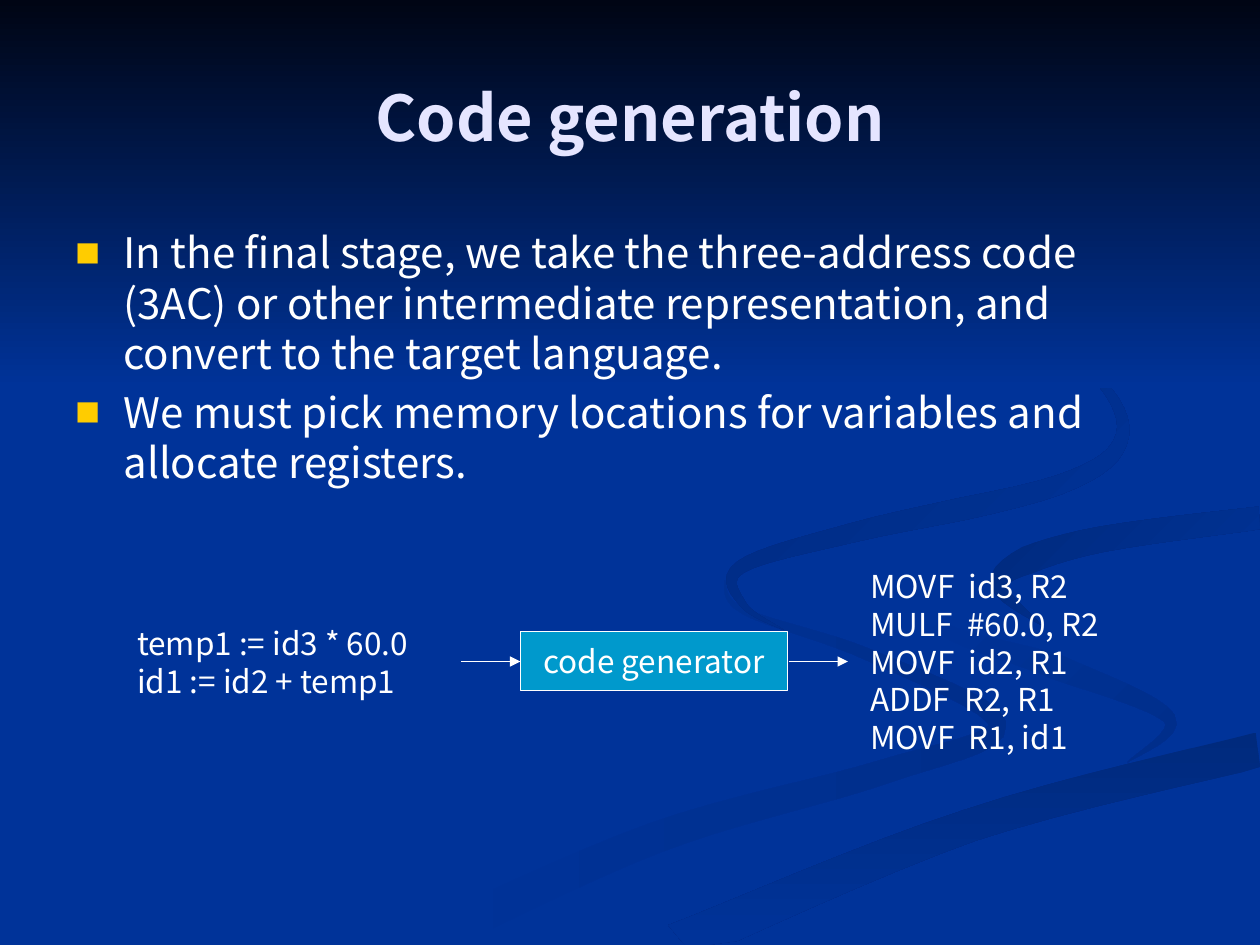
from dataclasses import dataclass
from math import hypot

from lxml.etree import SubElement
from pptx import Presentation
from pptx.dml.color import RGBColor
from pptx.enum.shapes import MSO_CONNECTOR, MSO_SHAPE
from pptx.enum.text import MSO_ANCHOR, MSO_AUTO_SIZE, PP_ALIGN
from pptx.oxml.ns import qn
from pptx.util import Inches, Pt

FONT = "Noto Sans CJK KR"
COLORS = {
    "background": "003399",
    "night": "000514",
    "swirl": "002E8B",
    "stroke": "002A7D",
    "title": "E5E5FF",
    "text": "FFFFFF",
    "bullet": "FFCC00",
    "box": "0099CC",
}
WIDTH, HEIGHT = 10, 7.5
AXIS_Y = 5.25  # centre line of the code flow
Point = tuple[float, float]


@dataclass(frozen=True)
class Ribbon:
    """A curved band along a spine; widths are at its start, middle and end."""
    start: str
    end: str
    angle: int
    widths: tuple[float, float, float]
    spine: tuple[Point, ...]


@dataclass(frozen=True)
class CodeBlock:
    left: float
    width: float
    height: float
    lines: tuple[str, ...]


RIBBONS = (
    Ribbon("background", "swirl", 0, (0, 0.14, 0.3),
           ((5.75, 4.6), (5.9, 4.85), (6.9, 5.2), (7.92, 5.75), (7, 6.13), (5.2, 6.65),
            (3.3, 7.5))),
    Ribbon("background", "swirl", 45, (0, 0.2, 0),
           ((7.24, 4.64), (7.5, 5), (8.4, 5.3), (9.28, 5.7), (8.95, 6.05))),
    Ribbon("stroke", "background", 90, (0.28, 0.26, 0.34),
           ((10, 5.95), (7.7, 6.55), (5.37, 7.5))),
    Ribbon("stroke", "background", 45, (0.18, 0.22, 0),
           ((10, 4.11), (8.6, 4.31), (7.93, 4.6), (8.26, 4.96))),
    Ribbon("stroke", "background", 45, (0, 0.18, 0),
           ((7.62, 2.33), (8.6, 2.9), (8.91, 3.45), (8.4, 3.85), (6.8, 4.22), (5.88, 4.5),
            (5.9, 4.8), (6.22, 5))),
)
BULLETS = (
    "In the final stage, we take the three-address code (3AC) or other "
    "intermediate representation, and convert to the target language.",
    "We must pick memory locations for variables and allocate registers.",
)
CODE_BLOCKS = (
    CodeBlock(6.81, 2.84, 1.73, ("MOVF  id3, R2", "MULF  #60.0, R2", "MOVF  id2, R1",
                                 "ADDF  R2, R1", "MOVF  R1, id1")),
    CodeBlock(0.99, 2.6, 1.42, ("temp1 := id3 * 60.0", "id1 := id2 + temp1")),
)
ARROW_LEFTS = (3.66, 6.26)
ARROW_LENGTH = 0.47


def rgb(name: str) -> RGBColor:
    return RGBColor.from_string(COLORS[name])


def place(sp, left: float, top: float, width: float, height: float) -> None:
    sp.left, sp.top = Inches(left), Inches(top)
    sp.width, sp.height = Inches(width), Inches(height)


def shade(sp, start: str, end: str, angle: int) -> None:
    """Fill with a gradient whose angle runs clockwise, and hide the outline."""
    sp.shadow.inherit = False
    sp.line.fill.background()
    sp.fill.gradient()
    sp.fill.gradient_angle = -angle % 360
    for stop, color, position in zip(sp.fill.gradient_stops, (start, end), (0, 1)):
        stop.color.rgb = rgb(color)
        stop.position = position


def write(sp, lines: tuple[str, ...], size: int, color: str = "text", bold: bool = False,
          align=PP_ALIGN.LEFT, anchor=MSO_ANCHOR.MIDDLE) -> None:
    tf = sp.text_frame
    tf.text = "\n".join(lines)
    tf.word_wrap = True
    tf.auto_size = MSO_AUTO_SIZE.NONE
    tf.vertical_anchor = anchor
    for p in tf.paragraphs:
        p.alignment = align
        for r in p.runs:
            r.font.name, r.font.size, r.font.bold = FONT, Pt(size), bold
            r.font.color.rgb = rgb(color)


def add_bullet(p) -> None:
    pPr = p._p.get_or_add_pPr()
    pPr.set("marL", str(Inches(0.38)))
    pPr.set("indent", str(-Inches(0.38)))
    SubElement(SubElement(pPr, qn("a:buClr")), qn("a:srgbClr"), val=COLORS["bullet"])
    SubElement(pPr, qn("a:buSzPct"), val="60000")
    SubElement(pPr, qn("a:buFont"), typeface=FONT)
    SubElement(pPr, qn("a:buChar"), char="■")


def smooth(points: tuple[Point, ...], steps: int = 8) -> list[Point]:
    """Catmull-Rom curve through the points."""
    padded = (points[0], *points, points[-1])
    curve = []
    for a, b, c, d in zip(padded, padded[1:], padded[2:], padded[3:]):
        for t in (i / steps for i in range(steps)):
            curve.append(tuple(
                q + t * (r - p + t * (2 * p - 5 * q + 4 * r - s + t * (3 * (q - r) + s - p))) / 2
                for p, q, r, s in zip(a, b, c, d)))
    return [*curve, points[-1]]


def outline(ribbon: Ribbon) -> list[Point]:
    curve = smooth(ribbon.spine)
    first, middle, last = ribbon.widths
    left, right = [], []
    for i, (x, y) in enumerate(curve):
        t = i / (len(curve) - 1)
        if t < 0.5:
            half = (first + (middle - first) * 2 * t) / 2
        else:
            half = (middle + (last - middle) * (2 * t - 1)) / 2
        before, after = curve[max(i - 1, 0)], curve[min(i + 1, len(curve) - 1)]
        dx, dy = after[0] - before[0], after[1] - before[1]
        length = hypot(dx, dy)
        for side, shift in ((left, half), (right, -half)):
            side.append((min(x - dy / length * shift, WIDTH),
                         min(y + dx / length * shift, HEIGHT)))
    return left + right[::-1]


def draw_ribbon(s, ribbon: Ribbon) -> None:
    points = [(Inches(x), Inches(y)) for x, y in outline(ribbon)]
    builder = s.shapes.build_freeform(*points[0])
    builder.add_line_segments(points[1:], close=True)
    shade(builder.convert_to_shape(), ribbon.start, ribbon.end, ribbon.angle)


def draw_code(s, block: CodeBlock) -> None:
    sp = s.shapes.add_textbox(0, 0, 0, 0)
    place(sp, block.left, AXIS_Y - block.height / 2, block.width, block.height)
    write(sp, block.lines, 18)


def draw_arrow(s, left: float) -> None:
    y = Inches(AXIS_Y)
    arrow = s.shapes.add_connector(MSO_CONNECTOR.STRAIGHT, Inches(left), y,
                                   Inches(left + ARROW_LENGTH), y)
    arrow.line.color.rgb = rgb("text")
    arrow.line.width = Pt(0.75)
    SubElement(arrow.line._get_or_add_ln(), qn("a:tailEnd"), type="triangle")
    SubElement(arrow._element.spPr, qn("a:effectLst"))


def main() -> None:
    prs = Presentation()
    prs.slide_width, prs.slide_height = Inches(WIDTH), Inches(HEIGHT)
    s = prs.slides.add_slide(prs.slide_layouts[1])
    s.background.fill.solid()
    s.background.fill.fore_color.rgb = rgb("background")

    for ribbon in RIBBONS:
        draw_ribbon(s, ribbon)
    sky = s.shapes.add_shape(MSO_SHAPE.RECTANGLE, 0, 0, prs.slide_width, Inches(3.08))
    shade(sky, "night", "background", 90)

    title, body = s.placeholders
    for sp in (title, body):  # bring the text in front of the decoration
        s.shapes._spTree.append(sp._element)
    place(title, 0.5, 0.3, 9, 1.25)
    write(title, ("Code generation",), 36, "title", bold=True, align=PP_ALIGN.CENTER)
    place(body, 0.5, 1.75, 9, 2.39)
    write(body, BULLETS, 24, anchor=MSO_ANCHOR.TOP)
    for p, space in zip(body.text_frame.paragraphs, (0, 4.8)):
        p.space_before = Pt(space)
        add_bullet(p)

    box = s.shapes.add_shape(MSO_SHAPE.RECTANGLE, 0, 0, 0, 0)
    place(box, 4.13, 5.01, 2.12, 0.47)
    box.shadow.inherit = False
    box.fill.solid()
    box.fill.fore_color.rgb = rgb("box")
    box.line.color.rgb = rgb("text")
    box.line.width = Pt(0.75)
    write(box, ("code generator",), 18, align=PP_ALIGN.CENTER)

    for block in CODE_BLOCKS:
        draw_code(s, block)
    for left in ARROW_LEFTS:
        draw_arrow(s, left)
    prs.save("out.pptx")


if __name__ == "__main__":
    main()
